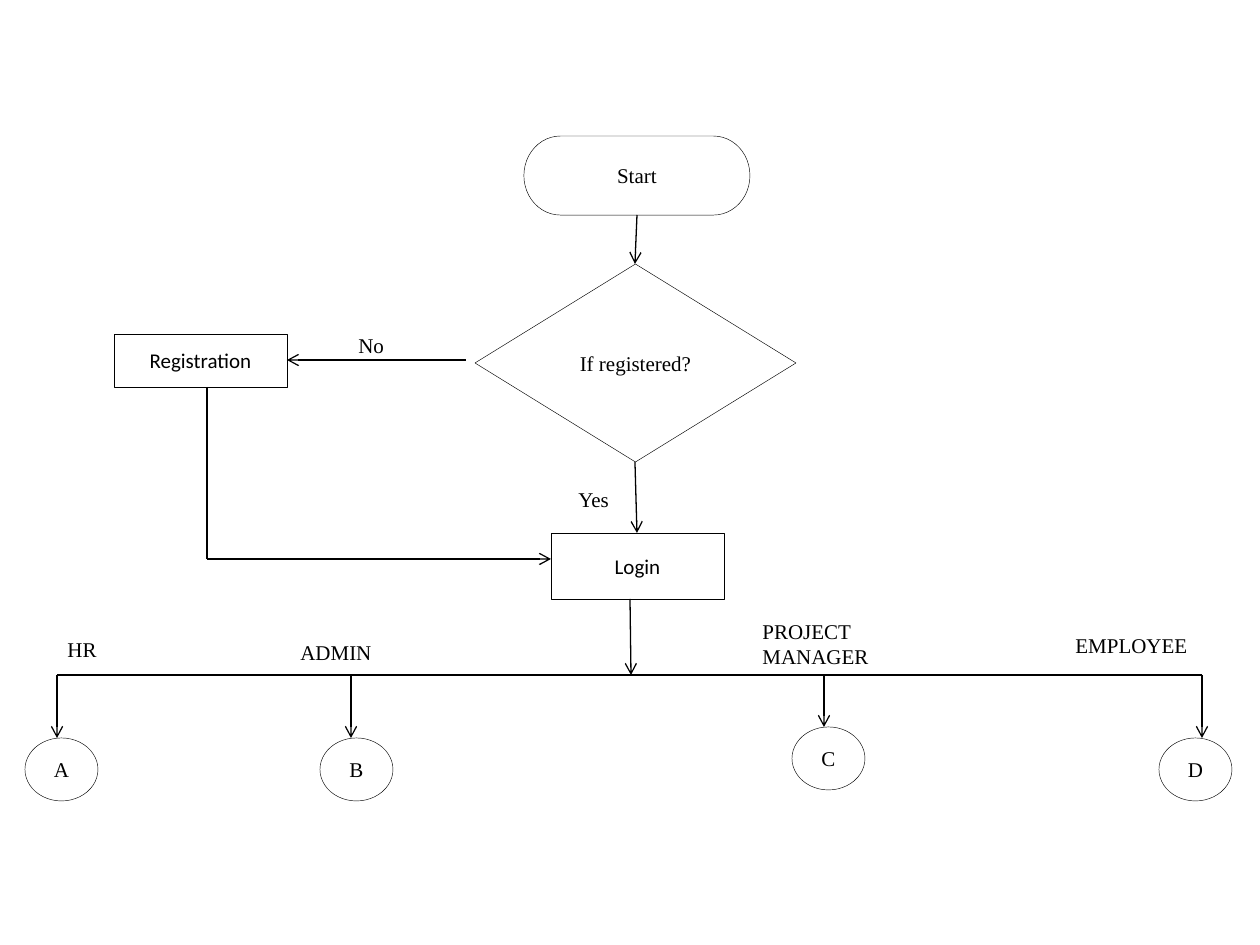
from dataclasses import dataclass

from lxml.etree import SubElement
from pptx import Presentation
from pptx.dml.color import RGBColor
from pptx.enum.shapes import MSO_CONNECTOR as Link, MSO_SHAPE as Shape
from pptx.enum.text import MSO_ANCHOR as Anchor, PP_ALIGN as Align
from pptx.oxml.ns import qn
from pptx.slide import Slide
from pptx.text.text import TextFrame
from pptx.util import Emu, Pt

PX_PER_INCH = 126


@dataclass(frozen=True)
class Theme:
    ink: RGBColor = RGBColor(0, 0, 0)
    paper: RGBColor = RGBColor(255, 255, 255)
    serif: str = "Times New Roman"
    sans: str = "Calibri"
    size: float = 12
    outline: float = 0.26
    flow: float = 0.74


@dataclass(frozen=True)
class Box:
    x: int
    y: int
    w: int
    h: int


@dataclass(frozen=True)
class Node:
    text: str
    kind: Shape
    box: Box
    font: str


@dataclass(frozen=True)
class Label:
    text: str
    box: Box


@dataclass(frozen=True)
class Flow:
    x1: int
    y1: int
    x2: int
    y2: int
    arrow: bool = True


@dataclass(frozen=True)
class Branch:
    letter: str
    left: int
    top: int
    stem: int
    role: Label


THEME = Theme()
BUS_Y = 675
RETURN_X, RETURN_Y = 207, 559
CIRCLE_W, CIRCLE_H = 73, 63

NODES = [
    Node("Start", Shape.FLOWCHART_TERMINATOR, Box(524, 136, 226, 79), THEME.serif),
    Node("If registered?", Shape.FLOWCHART_DECISION, Box(475, 264, 321, 198), THEME.serif),
    Node("Login", Shape.RECTANGLE, Box(551, 533, 173, 66), THEME.sans),
    Node("Registration", Shape.RECTANGLE, Box(114, 334, 173, 53), THEME.sans),
]
ANSWERS = [
    Label("Yes", Box(566, 480, 104, 38)),
    Label("No", Box(346, 326, 60, 38)),
]
BRANCHES = [
    Branch("A", 25, 738, 57, Label("HR", Box(55, 630, 158, 77))),
    Branch("B", 320, 738, 351, Label("ADMIN", Box(288, 633, 126, 38))),
    Branch("C", 792, 727, 824, Label("PROJECT MANAGER", Box(750, 612, 147, 63))),
    Branch("D", 1159, 738, 1202, Label("EMPLOYEE", Box(1063, 626, 147, 77))),
]
FLOWS = [
    Flow(637, 215, 635, 264),
    Flow(635, 462, 637, 533),
    Flow(466, 360, 287, 360),
    Flow(RETURN_X, 387, RETURN_X, RETURN_Y, arrow=False),
    Flow(RETURN_X, RETURN_Y, 551, RETURN_Y),
    Flow(630, 599, 631, BUS_Y),
    Flow(BRANCHES[0].stem, BUS_Y, BRANCHES[-1].stem, BUS_Y, arrow=False),
]


def px(n: int) -> Emu:
    """Turn pixels into EMU."""
    return Emu(round(n * 914400 / PX_PER_INCH))


def place(box: Box) -> tuple[Emu, Emu, Emu, Emu]:
    """Give left, top, width and height in EMU."""
    return px(box.x), px(box.y), px(box.w), px(box.h)


def write(tf: TextFrame, text: str, font: str, align: Align) -> None:
    """Write one run of text into a frame."""
    p = tf.paragraphs[0]
    p.alignment = align
    r = p.add_run()
    r.text = text
    r.font.name = font
    r.font.size = Pt(THEME.size)
    r.font.color.rgb = THEME.ink


def draw_node(s: Slide, node: Node) -> None:
    """Draw an outlined shape with centred text."""
    sp = s.shapes.add_shape(node.kind, *place(node.box))
    sp.shadow.inherit = False
    sp.fill.solid()
    sp.fill.fore_color.rgb = THEME.paper
    sp.line.color.rgb = THEME.ink
    sp.line.width = Pt(THEME.outline)
    sp.text_frame.vertical_anchor = Anchor.MIDDLE
    write(sp.text_frame, node.text, node.font, Align.CENTER)


def draw_label(s: Slide, label: Label) -> None:
    """Draw a plain text label."""
    tf = s.shapes.add_textbox(*place(label.box)).text_frame
    tf.word_wrap = True
    write(tf, label.text, THEME.serif, Align.LEFT)


def draw_flow(s: Slide, flow: Flow) -> None:
    """Draw a straight line, with an open arrowhead if asked."""
    ends = map(px, (flow.x1, flow.y1, flow.x2, flow.y2))
    cxn = s.shapes.add_connector(Link.STRAIGHT, *ends)
    cxn.line.color.rgb = THEME.ink
    cxn.line.width = Pt(THEME.flow)
    if flow.arrow:
        ln = cxn._element.spPr.find(qn("a:ln"))
        SubElement(ln, qn("a:tailEnd"), type="arrow")
    SubElement(cxn._element.spPr, qn("a:effectLst"))


def draw_branch(s: Slide, branch: Branch) -> None:
    """Draw a role label, its stem and the lettered circle below."""
    circle = Box(branch.left, branch.top, CIRCLE_W, CIRCLE_H)
    draw_node(s, Node(branch.letter, Shape.FLOWCHART_CONNECTOR, circle, THEME.serif))
    draw_flow(s, Flow(branch.stem, BUS_Y, branch.stem, branch.top))
    draw_label(s, branch.role)


def main() -> None:
    """Build and save the flowchart slide."""
    prs = Presentation()
    prs.slide_width, prs.slide_height = px(1260), px(945)
    s = prs.slides.add_slide(prs.slide_layouts[6])
    for node in NODES:
        draw_node(s, node)
    for answer in ANSWERS:
        draw_label(s, answer)
    for flow in FLOWS:
        draw_flow(s, flow)
    for branch in BRANCHES:
        draw_branch(s, branch)
    prs.save("out.pptx")


main()
